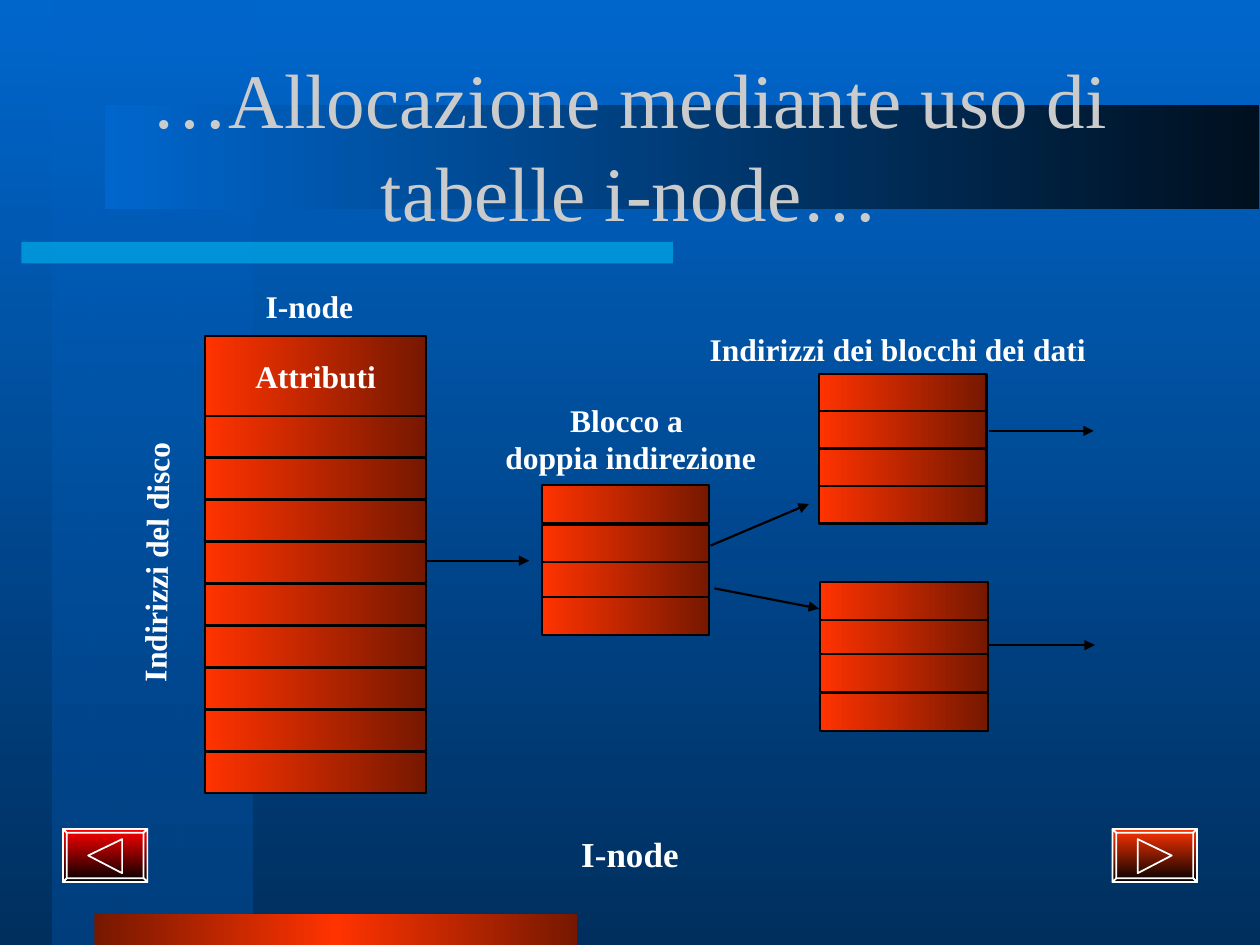
from copy import deepcopy
from dataclasses import dataclass

from pptx import Presentation
from pptx.dml.color import RGBColor
from pptx.enum.shapes import MSO_CONNECTOR, MSO_SHAPE
from pptx.enum.text import MSO_ANCHOR, MSO_AUTO_SIZE, PP_ALIGN
from pptx.oxml.ns import qn
from pptx.oxml.xmlchemy import OxmlElement
from pptx.util import Inches, Pt

RECT = MSO_SHAPE.RECTANGLE
STRAIGHT = MSO_CONNECTOR.STRAIGHT
MIDDLE = MSO_ANCHOR.MIDDLE
CENTER = PP_ALIGN.CENTER
NO_AUTOFIT = MSO_AUTO_SIZE.NONE
ACROSS, DOWN = 0, 270


@dataclass(frozen=True)
class Theme:
    font: str = "Times New Roman"
    title_size: int = 44
    caption_size: int = 20
    label_size: int = 18
    title: str = "CBCBCB"
    text: str = "FFFFFF"
    line: str = "000000"
    line_width: float = 1.25
    blue: str = "0066CC"
    navy: str = "002F5E"
    band: str = "003F7E"
    night: str = "00101F"
    cyan: str = "00CCFF"
    red: str = "FF0000"
    orange: str = "FF3300"
    brown: str = "761800"


def write_text(tf, text, size, color, font, bold=False, inset=0.05, wrap=False):
    tf.auto_size = NO_AUTOFIT
    tf.word_wrap = wrap
    tf.vertical_anchor = MIDDLE
    tf.margin_left = tf.margin_right = Inches(inset)
    tf.margin_top = tf.margin_bottom = Inches(0.05)
    for i, line in enumerate(text.split("\n")):
        p = tf.paragraphs[0] if i == 0 else tf.add_paragraph()
        p.alignment = CENTER
        r = p.add_run()
        r.text = line
        r.font.name = font
        r.font.size = Pt(size)
        r.font.bold = bold
        r.font.color.rgb = RGBColor.from_string(color)


def set_gradient(fill, colors, angle):
    for stop, color in zip(fill.gradient_stops, colors):
        stop.color.rgb = RGBColor.from_string(color)
    fill.gradient_angle = angle


def set_alpha(color_element, percent):
    alpha = OxmlElement("a:alpha")
    alpha.set("val", str(percent * 1000))
    color_element.append(alpha)


class Deck:
    def __init__(self, theme):
        self.theme = theme
        self.prs = Presentation()
        self.prs.slide_width = Inches(10)
        self.prs.slide_height = Inches(7.5)
        self.s = self.prs.slides.add_slide(self.prs.slide_layouts[5])

    def background(self, colors):
        fill = self.s.background.fill
        fill.gradient()
        set_gradient(fill, colors, DOWN)

    def paint(self, sp, colors, angle=ACROSS, alpha=None, line=None, width=1):
        sp.shadow.inherit = False
        spPr = sp._element.spPr
        if len(colors) == 1:
            sp.fill.solid()
            sp.fill.fore_color.rgb = RGBColor.from_string(colors[0])
        else:
            sp.fill.gradient()
            stops = spPr.find(".//" + qn("a:gsLst"))
            while len(stops) < len(colors):
                stops.append(deepcopy(stops[-1]))
            for i, stop in enumerate(stops):
                stop.set("pos", str(i * 100000 // (len(colors) - 1)))
            set_gradient(sp.fill, colors, angle)
        if alpha:
            set_alpha(spPr.find(".//" + qn("a:srgbClr")), alpha)
        if line:
            sp.line.color.rgb = RGBColor.from_string(line)
            sp.line.width = Pt(width)
        else:
            sp.line.fill.background()

    def rect(self, x, y, w, h, colors, **paint):
        sp = self.s.shapes.add_shape(RECT, Inches(x), Inches(y), Inches(w), Inches(h))
        self.paint(sp, colors, **paint)
        return sp

    def title(self, text, x, y, w, h):
        t = self.theme
        sp = self.s.shapes.title
        sp.left, sp.top, sp.width, sp.height = map(Inches, (x, y, w, h))
        write_text(sp.text_frame, text, t.title_size, t.title, t.font, inset=0.1, wrap=True)
        self.s.shapes._spTree.append(sp._element)

    def label(self, text, x, y, w=0.75, size=None, rotation=0):
        t = self.theme
        sp = self.s.shapes.add_textbox(Inches(x), Inches(y), Inches(w), Inches(0.46))
        sp.rotation = rotation
        write_text(sp.text_frame, text, size or t.label_size, t.text, t.font, bold=True)

    def cell(self, x, y, w, h, text=None):
        t = self.theme
        sp = self.rect(x, y, w, h, (t.orange, t.brown), line=t.line, width=t.line_width)
        if text:
            write_text(sp.text_frame, text, t.label_size, t.text, t.font, bold=True)

    def stack(self, x, tops, w, h):
        for y in tops:
            self.cell(x, y, w, h)

    def arrow(self, x1, y1, x2, y2):
        c = self.s.shapes.add_connector(STRAIGHT, *map(Inches, (x1, y1, x2, y2)))
        c.line.color.rgb = RGBColor.from_string(self.theme.line)
        c.line.width = Pt(self.theme.line_width)
        tail = OxmlElement("a:tailEnd")
        tail.set("type", "triangle")
        c.line._get_or_add_ln().append(tail)
        c._element.spPr.append(OxmlElement("a:effectLst"))

    def button(self, x, y, colors, triangle):
        w, h, b = 0.67, 0.42, 0.03
        outer = [(0, 0), (w, 0), (w, h), (0, h)]
        inner = [(b, b), (w - b, b), (w - b, h - b), (b, h - b)]
        sides = [(outer[i], outer[j], inner[j], inner[i])
                 for i, j in ((0, 1), (1, 2), (2, 3), (3, 0))]
        builder = None
        for outline in (outer, *sides, triangle):
            points = [(Inches(x + dx), Inches(y + dy)) for dx, dy in outline]
            if builder is None:
                builder = self.s.shapes.build_freeform(*points[0])
            else:
                builder.move_to(*points[0])
            builder.add_line_segments(points[1:], close=True)
        sp = builder.convert_to_shape()
        self.split_outlines(sp)
        self.paint(sp, colors, DOWN, line=self.theme.text)

    def split_outlines(self, sp):
        outlines = sp._element.spPr.find(".//" + qn("a:pathLst"))
        whole = outlines[0]
        for step in list(whole):
            if step.tag == qn("a:moveTo"):
                part = OxmlElement("a:path")
                part.set("w", whole.get("w"))
                part.set("h", whole.get("h"))
                outlines.append(part)
            part.append(step)
        outlines.remove(whole)


def main():
    t = Theme()
    d = Deck(t)
    d.background((t.blue, t.navy))
    d.rect(0.42, 0, 1.58, 7.5, (t.blue, t.band), angle=DOWN, alpha=50)
    d.rect(0.17, 1.92, 5.17, 0.17, (t.cyan,), alpha=50)
    d.rect(0.75, 7.25, 3.83, 0.25, (t.brown, t.orange, t.brown))
    d.rect(0.83, 0.83, 9.16, 0.83, (t.blue, t.night))
    d.button(0.5, 6.58, (t.red, t.line), [(0.2, 0.21), (0.47, 0.08), (0.47, 0.35)])
    d.button(8.83, 6.58, (t.orange, t.line), [(0.2, 0.08), (0.47, 0.21), (0.2, 0.35)])
    d.label("I-node", 1.25, 6.54, w=7.5, size=t.caption_size)
    d.title("…Allocazione mediante uso di tabelle i-node…", 0.75, 0.52, 8.5, 1.25)

    d.cell(1.63, 2.67, 1.75, 0.63, "Attributi")
    d.stack(1.63, [3.3 + i / 3 for i in range(9)], 1.75, 0.33)
    d.stack(4.3, (3.85, 4.17, 4.46, 4.74), 1.33, 0.3)
    d.stack(6.5, [2.97 + 0.295 * i for i in range(4)], 1.33, 0.3)
    d.stack(6.51, (4.62, 4.92, 5.19, 5.5), 1.33, 0.3)

    d.label("I-node", 2.08, 2.2)
    d.label("Indirizzi del disco", 0.86, 4.23, rotation=270.8)
    d.label("Blocco a \ndoppia indirezione", 4.63, 3.25)
    d.label("Indirizzi dei blocchi dei dati", 6.75, 2.54)

    d.arrow(3.37, 4.45, 4.2, 4.45)
    d.arrow(5.64, 4.33, 6.42, 4)
    d.arrow(5.67, 4.67, 6.5, 4.83)
    d.arrow(7.85, 3.42, 8.68, 3.42)
    d.arrow(7.85, 5.12, 8.69, 5.12)
    d.prs.save("out.pptx")


if __name__ == "__main__":
    main()
